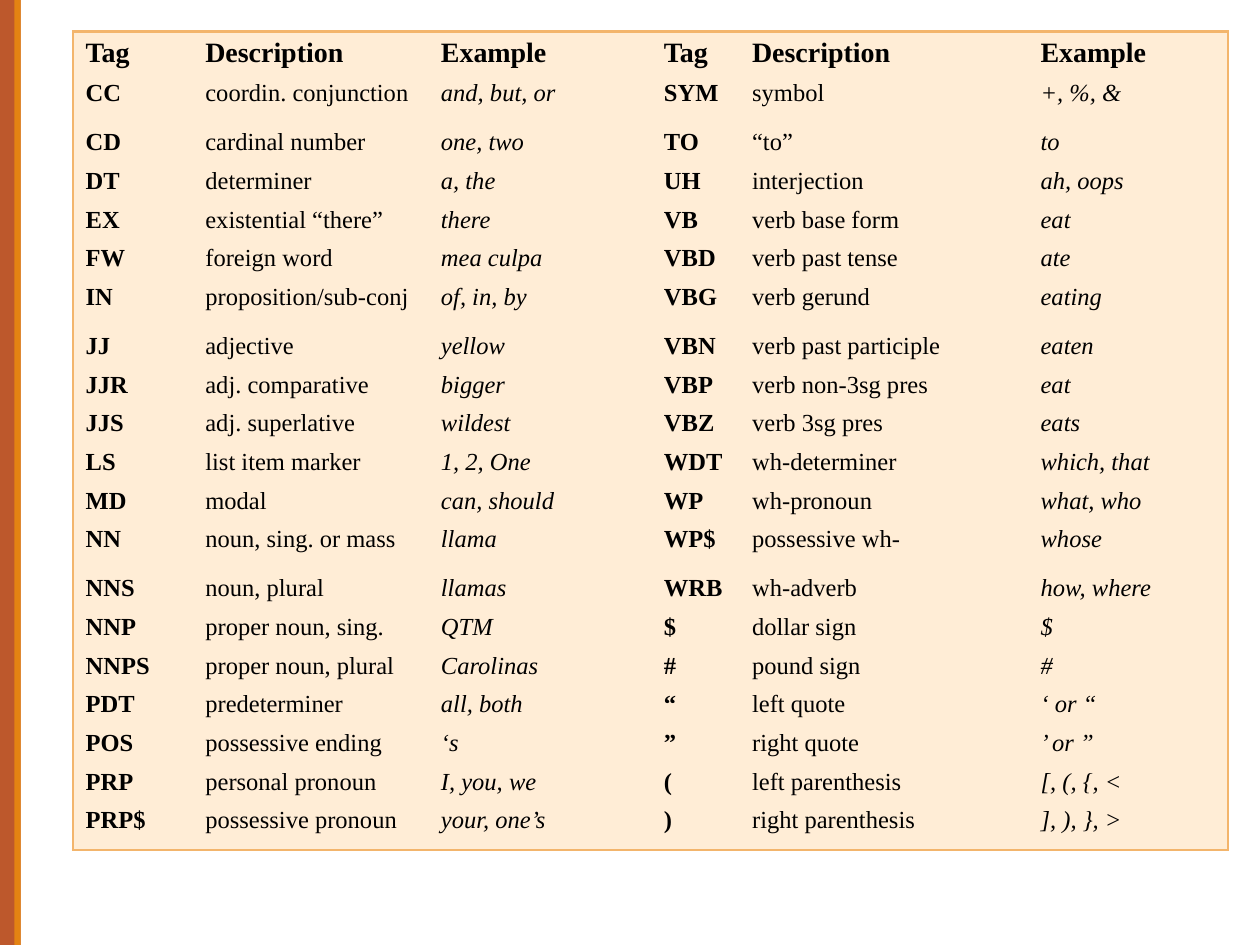
"""Builds a slide with a two-column table of part-of-speech tags."""
from lxml import etree
from pptx import Presentation, util as u
from pptx.dml.color import RGBColor
from pptx.enum import shapes, text
from pptx.oxml.ns import qn

RUST = RGBColor(0xBD, 0x58, 0x2C)
ORANGE = RGBColor(0xE4, 0x83, 0x12)
CREAM = RGBColor(0xFF, 0xED, 0xD6)
APRICOT = RGBColor(0xF3, 0xB5, 0x6C)
BLACK = RGBColor(0, 0, 0)
NO_GRID_STYLE = "{2D5ABB26-0587-4C30-8999-92F81FD0307C}"

headings = ["Tag", "Description", "Example"] * 2
tags = [
    ("CC", "coordin. conjunction", "and, but, or", "SYM", "symbol", "+, %, &"),
    ("CD", "cardinal number", "one, two", "TO", "“to”", "to"),
    ("DT", "determiner", "a, the", "UH", "interjection", "ah, oops"),
    ("EX", "existential “there”", "there", "VB", "verb base form", "eat"),
    ("FW", "foreign word", "mea culpa", "VBD", "verb past tense", "ate"),
    ("IN", "proposition/sub-conj", "of, in, by", "VBG", "verb gerund", "eating"),
    ("JJ", "adjective", "yellow", "VBN", "verb past participle", "eaten"),
    ("JJR", "adj. comparative", "bigger", "VBP", "verb non-3sg pres", "eat"),
    ("JJS", "adj. superlative", "wildest", "VBZ", "verb 3sg pres", "eats"),
    ("LS", "list item marker", "1, 2, One", "WDT", "wh-determiner", "which, that"),
    ("MD", "modal", "can, should", "WP", "wh-pronoun", "what, who"),
    ("NN", "noun, sing. or mass", "llama", "WP$", "possessive wh-", "whose"),
    ("NNS", "noun, plural", "llamas", "WRB", "wh-adverb", "how, where"),
    ("NNP", "proper noun, sing.", "QTM", "$", "dollar sign", "$"),
    ("NNPS", "proper noun, plural", "Carolinas", "#", "pound sign", "#"),
    ("PDT", "predeterminer", "all, both", "“", "left quote", "‘ or “"),
    ("POS", "possessive ending", "‘s", "”", "right quote", "’ or ”"),
    ("PRP", "personal pronoun", "I, you, we", "(", "left parenthesis", "[, (, {, <"),
    ("PRP$", "possessive pronoun", "your, one’s", ")", "right parenthesis", "], ), }, >"),
]
entries = [headings, *tags]
column_widths = [0.95, 1.87, 1.77, 0.7, 2.29, 1.59]
tall_rows = {1, 6, 12, 19}
row_heights = [0.33] + [0.39 if r in tall_rows else 0.3 for r in range(1, len(entries))]


def add_border(cell, side):
    line = etree.SubElement(cell._tc.get_or_add_tcPr(), qn(f"a:ln{side}"), w=str(u.Pt(1.5)))
    fill = etree.SubElement(line, qn("a:solidFill"))
    etree.SubElement(fill, qn("a:srgbClr"), val=str(APRICOT))


deck = Presentation()
deck.slide_width, deck.slide_height = u.Inches(10), u.Inches(7.5)
slide = deck.slides.add_slide(deck.slide_layouts[6])

length = deck.slide_height
for center, thickness, color in [(0.06, 0.21, RUST), (0.14, 0.05, ORANGE)]:
    stripe = slide.shapes.add_shape(
        shapes.MSO_SHAPE.RECTANGLE,
        u.Inches(center) - length // 2, (length - u.Inches(thickness)) // 2,
        length, u.Inches(thickness))
    stripe.rotation = 270
    stripe.shadow.inherit = False
    stripe.fill.solid()
    stripe.fill.fore_color.rgb = color
    stripe.line.fill.background()

tagset = slide.shapes.add_table(
    len(entries), len(column_widths), u.Inches(0.58), u.Inches(0.25),
    u.Inches(sum(column_widths)), u.Inches(sum(row_heights))).table
tagset.first_row = tagset.horz_banding = False
tagset._tbl.tblPr.find(qn("a:tableStyleId")).text = NO_GRID_STYLE
for column, width in zip(tagset.columns, column_widths):
    column.width = u.Inches(width)
for row, height in zip(tagset.rows, row_heights):
    row.height = u.Inches(height)

last_row, last_column = len(entries) - 1, len(column_widths) - 1
for r, entry in enumerate(entries):
    for c, words in enumerate(entry):
        cell = tagset.cell(r, c)
        edges = {"L": c == 0, "R": c == last_column, "T": r == 0, "B": r == last_row}
        for side, outer in edges.items():
            if outer:
                add_border(cell, side)
        cell.fill.solid()
        cell.fill.fore_color.rgb = CREAM
        cell.margin_left = cell.margin_right = u.Inches(0.1)
        cell.margin_top = cell.margin_bottom = u.Pt(3.3)
        cell.vertical_anchor = text.MSO_ANCHOR.TOP
        cell.text_frame.text = words
        font = cell.text_frame.paragraphs[0].runs[0].font
        font.name = "Times New Roman"
        font.size = u.Pt(16 if r == 0 else 14)
        font.bold = r == 0 or c % 3 == 0
        font.italic = r > 0 and c % 3 == 2
        font.color.rgb = BLACK

deck.save("out.pptx")
